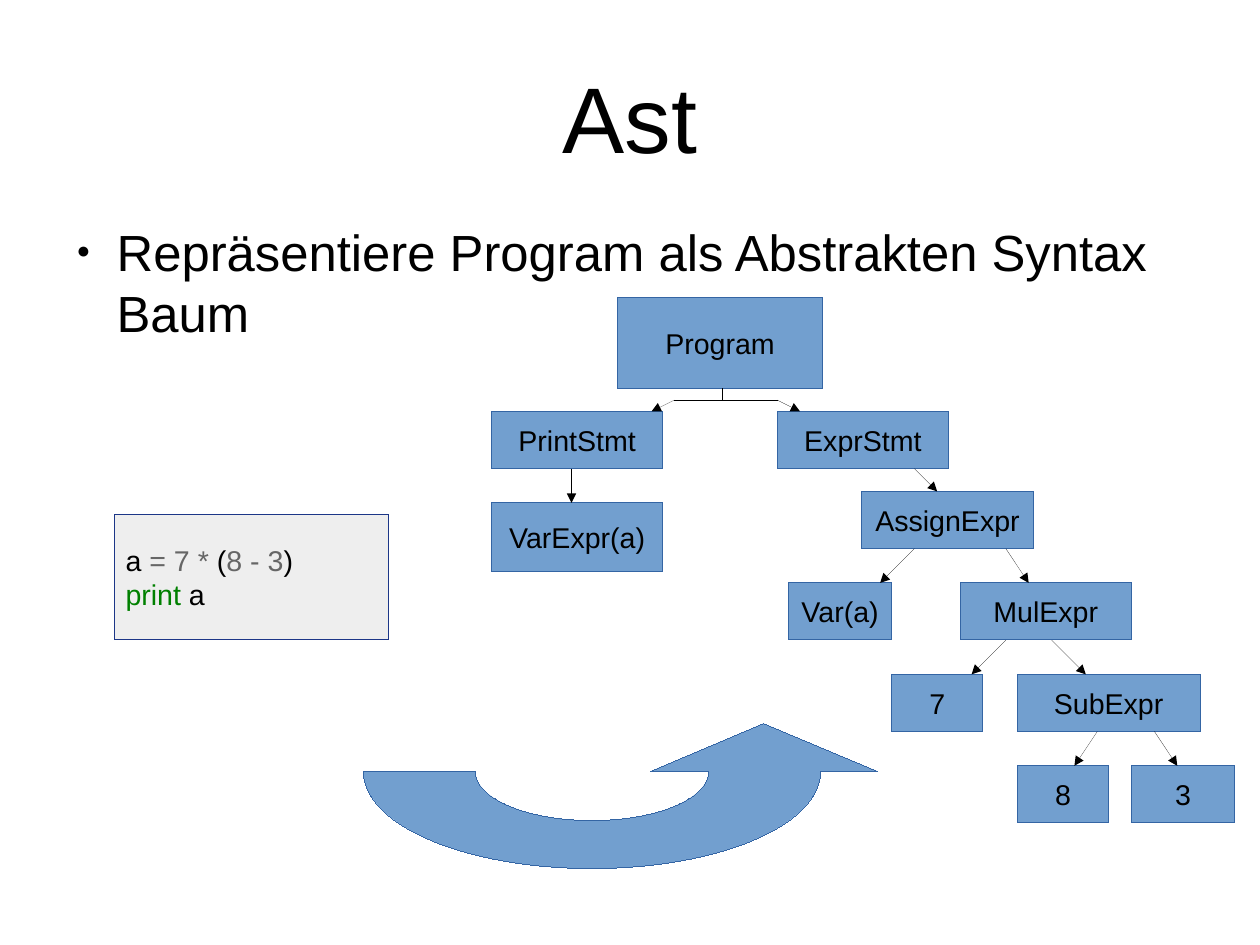
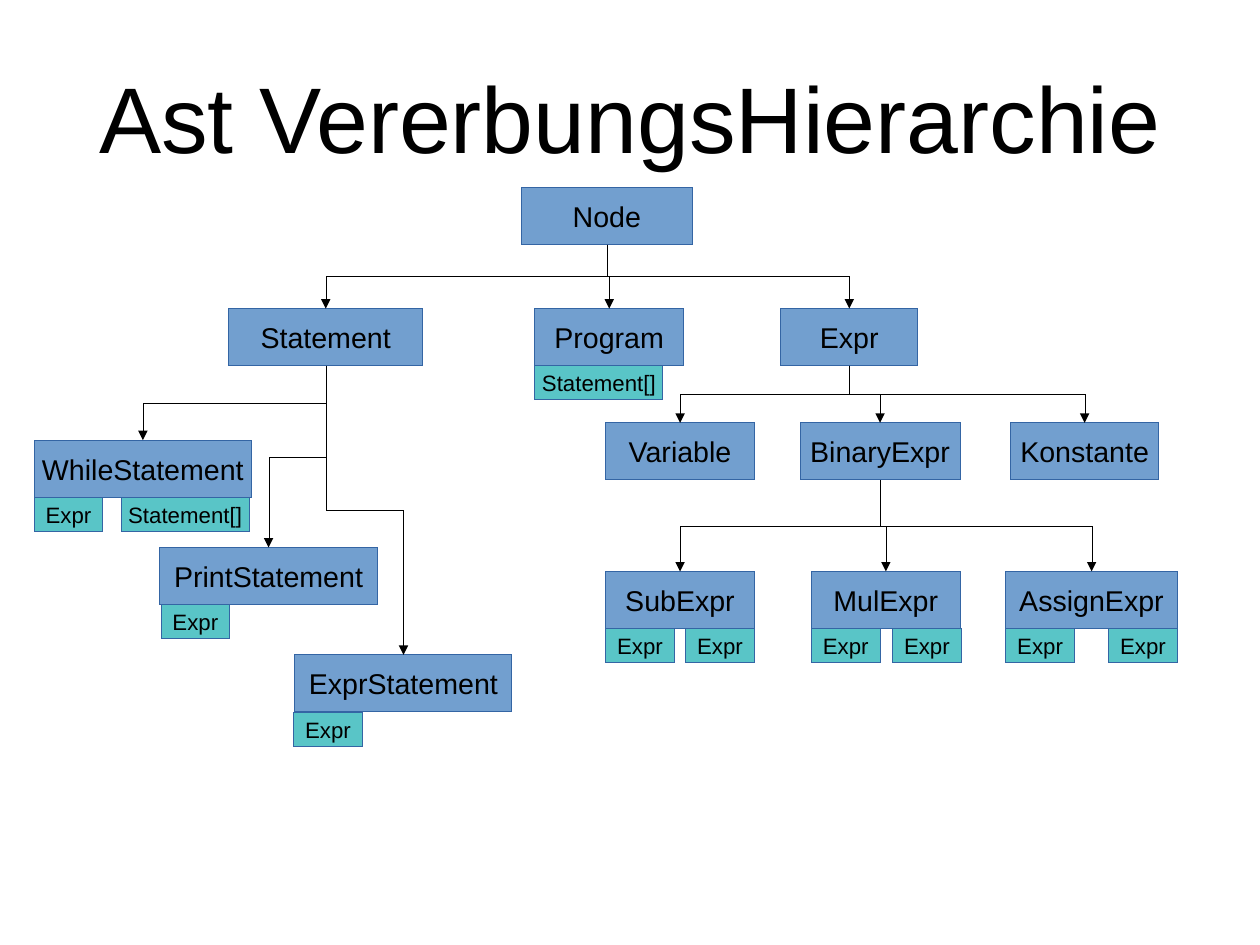
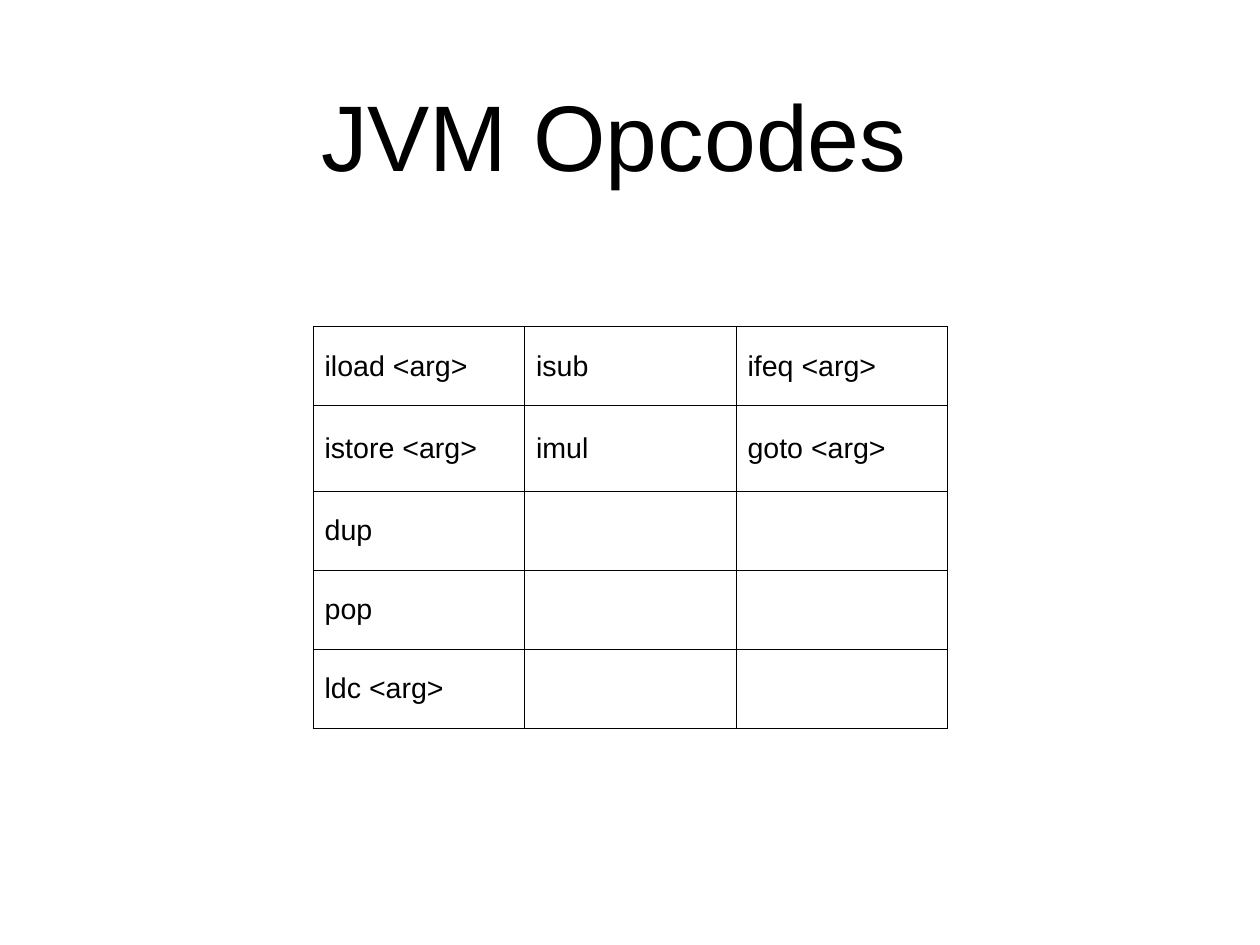
import math

import pptx
import pptx.dml.color
import pptx.enum.shapes
import pptx.enum.text
import pptx.oxml
import pptx.oxml.ns
import pptx.util

Inches = pptx.util.Inches
Pt = pptx.util.Pt
Align = pptx.enum.text.PP_ALIGN
Anchor = pptx.enum.text.MSO_ANCHOR
Connector = pptx.enum.shapes.MSO_CONNECTOR
RECTANGLE = pptx.enum.shapes.MSO_SHAPE.RECTANGLE
qn = pptx.oxml.ns.qn
DRAWING = pptx.oxml.ns.nsdecls("a")


class Theme:
    font = "Arial"
    black = "000000"
    grey = "666666"
    green = "008000"
    node = "729FCF"
    node_line = "3465A4"
    field = "59C5C7"
    code = "EEEEEE"
    code_line = "1C3687"
    title_size = 58.7
    body_size = 32
    text_size = 18
    field_size = 14
    hairline = "0"
    border = Pt(0.57)
    placeholder_frame = {
        "margin_left": 0, "margin_top": 0, "margin_right": 0, "margin_bottom": 0,
        "word_wrap": True, "auto_size": pptx.enum.text.MSO_AUTO_SIZE.NONE,
    }
    box_frame = {
        "margin_left": Inches(0.1), "margin_top": Inches(0.05),
        "margin_right": Inches(0.1), "margin_bottom": Inches(0.05),
        "word_wrap": False, "vertical_anchor": Anchor.MIDDLE,
    }


def write_text(paragraph, runs, size, alignment):
    paragraph.alignment = alignment
    for text, color in runs:
        run = paragraph.add_run()
        run.text = text
        for name, value in {"name": Theme.font, "size": Pt(size)}.items():
            setattr(run.font, name, value)
        run.font.color.rgb = pptx.dml.color.RGBColor.from_string(color)


def paint_shape(shape, fill, line, lines=(), size=Theme.text_size, alignment=Align.CENTER):
    shape.shadow.inherit = False
    shape.fill.solid()
    shape.fill.fore_color.rgb = pptx.dml.color.RGBColor.from_string(fill)
    shape.line.color.rgb = pptx.dml.color.RGBColor.from_string(line)
    shape.line._get_or_add_ln().set("w", Theme.hairline)
    for name, value in Theme.box_frame.items():
        setattr(shape.text_frame, name, value)
    for index, runs in enumerate(lines):
        paragraph = shape.text_frame.add_paragraph() if index else shape.text_frame.paragraphs[0]
        write_text(paragraph, runs, size, alignment)


presentation = pptx.Presentation()
presentation.slide_width = Inches(28 / 2.54)
presentation.slide_height = Inches(21 / 2.54)

title_place = (0.55, 0.33, 9.92, 1.38)
slides = []
for title, layout, place in [
    ("Ast", 1, title_place),
    ("Ast VererbungsHierarchie", 5, title_place),
    ("JVM Opcodes", 5, (0.12, 0.26, 10.5, 1.82)),
]:
    slide = presentation.slides.add_slide(presentation.slide_layouts[layout])
    shape = slide.shapes.title
    for name, value in zip(("left", "top", "width", "height"), place):
        setattr(shape, name, Inches(value))
    for name, value in Theme.placeholder_frame.items():
        setattr(shape.text_frame, name, value)
    shape.text_frame.vertical_anchor = Anchor.MIDDLE
    write_text(shape.text_frame.paragraphs[0], [(title, Theme.black)], Theme.title_size, Align.CENTER)
    slides.append(slide)
tree_slide, hierarchy_slide, opcode_slide = slides
connectors = []

body = tree_slide.placeholders[1]
for name, value in zip(("left", "top", "width", "height"), (0.55, 1.93, 9.92, 1.17)):
    setattr(body, name, Inches(value))
for name, value in Theme.placeholder_frame.items():
    setattr(body.text_frame, name, value)
paragraph = body.text_frame.paragraphs[0]
write_text(
    paragraph,
    [("Repräsentiere Program als Abstrakten Syntax Baum", Theme.black)],
    Theme.body_size,
    Align.LEFT,
)
paragraph.space_before = Pt(18.9)
properties = paragraph._p.get_or_add_pPr()
properties.set("marL", str(Inches(0.47)))
properties.set("indent", str(Inches(-0.35)))
for bullet in (
    f'<a:buClr {DRAWING}><a:srgbClr val="{Theme.black}"/></a:buClr>',
    f'<a:buSzPct {DRAWING} val="45000"/>',
    f'<a:buFont {DRAWING} typeface="{Theme.font}"/>',
    f'<a:buChar {DRAWING} char="●"/>',
):
    properties.append(pptx.oxml.parse_xml(bullet))

code_lines = [
    [("a ", Theme.black), ("= 7 *", Theme.grey), (" (", Theme.black),
     ("8 - 3", Theme.grey), (")", Theme.black)],
    [("print", Theme.green), (" a", Theme.black)],
]
code_box = tree_slide.shapes.add_shape(RECTANGLE, *map(Inches, (1, 4.5, 2.4, 1.1)))
paint_shape(code_box, Theme.code, Theme.code_line, code_lines, alignment=Align.LEFT)

for text, left, top, width, height in [
    ("Program", 5.4, 2.6, 1.8, 0.8),
    ("PrintStmt", 4.3, 3.6, 1.5, 0.5),
    ("ExprStmt", 6.8, 3.6, 1.5, 0.5),
    ("VarExpr(a)", 4.3, 4.4, 1.5, 0.6),
    ("AssignExpr", 7.54, 4.3, 1.5, 0.5),
    ("Var(a)", 6.9, 5.1, 0.9, 0.5),
    ("MulExpr", 8.4, 5.1, 1.5, 0.5),
    ("SubExpr", 8.9, 5.9, 1.6, 0.5),
    ("8", 8.9, 6.7, 0.8, 0.5),
    ("3", 9.9, 6.7, 0.9, 0.5),
    ("7", 7.8, 5.9, 0.8, 0.5),
]:
    box = tree_slide.shapes.add_shape(RECTANGLE, *map(Inches, (left, top, width, height)))
    paint_shape(box, Theme.node, Theme.node_line, [[(text, Theme.black)]])

for begin_x, begin_y, end_x, end_y, arrow in [
    (5.9, 3.5, 5.7, 3.6, True),
    (5, 4.1, 5, 4.4, True),
    (8, 4.1, 8.2, 4.3, True),
    (8, 4.8, 7.7, 5.1, True),
    (8.8, 4.8, 9, 5.1, True),
    (9.2, 5.6, 9.5, 5.9, True),
    (8.8, 5.6, 8.5, 5.9, True),
    (9.6, 6.4, 9.4, 6.7, True),
    (10.1, 6.4, 10.3, 6.7, True),
    (5.9, 3.5, 6.8, 3.5, False),
    (6.32, 3.4, 6.32, 3.5, False),
    (6.8, 3.5, 7, 3.6, True),
]:
    connector = tree_slide.shapes.add_connector(
        Connector.STRAIGHT, *map(Inches, (begin_x, begin_y, end_x, end_y))
    )
    connectors.append((connector, arrow))

center_x, center_y, steps = 5.18, 6.75, 48
angles = [math.pi * step / steps for step in range(steps + 1)]
inner_arc = [(center_x + 1.02 * math.cos(a), center_y + 0.43 * math.sin(a)) for a in angles]
outer_arc = [(center_x - 2 * math.cos(a), center_y + 0.85 * math.sin(a)) for a in angles]
arrow_head = [(7.68, 6.75), (6.68, 6.33), (5.69, 6.75)]
outline = [(Inches(x), Inches(y)) for x, y in inner_arc + outer_arc + arrow_head]
builder = tree_slide.shapes.build_freeform(*outline[0])
builder.add_line_segments(outline[1:], close=True)
paint_shape(builder.convert_to_shape(), Theme.node, Theme.node_line)

class_boxes = {}
for name, left, top, width in [
    ("Node", 4.56, 1.64, 1.5),
    ("Statement", 2, 2.7, 1.7),
    ("Expr", 6.83, 2.7, 1.2),
    ("BinaryExpr", 7, 3.7, 1.4),
    ("Variable", 5.3, 3.7, 1.3),
    ("Konstante", 8.84, 3.7, 1.3),
    ("SubExpr", 5.3, 5, 1.3),
    ("MulExpr", 7.1, 5, 1.3),
    ("AssignExpr", 8.8, 5, 1.5),
    ("WhileStatement", 0.3, 3.85, 1.9),
    ("PrintStatement", 1.4, 4.79, 1.9),
    ("ExprStatement", 2.58, 5.73, 1.9),
    ("Program", 4.68, 2.7, 1.3),
]:
    box = hierarchy_slide.shapes.add_shape(RECTANGLE, *map(Inches, (left, top, width, 0.5)))
    paint_shape(box, Theme.node, Theme.node_line, [[(name, Theme.black)]])
    class_boxes[name] = box

for parent_name, child_names in {
    "Node": ("Expr", "Program", "Statement"),
    "Statement": ("WhileStatement", "PrintStatement", "ExprStatement"),
    "Expr": ("Variable", "BinaryExpr", "Konstante"),
    "BinaryExpr": ("MulExpr", "AssignExpr", "SubExpr"),
}.items():
    parent = class_boxes[parent_name]
    for child_name in child_names:
        child = class_boxes[child_name]
        connector = hierarchy_slide.shapes.add_connector(Connector.ELBOW, 0, 0, 0, 0)
        connector.begin_connect(parent, 2)
        connector.end_connect(child, 0)
        begin_x, begin_y = parent.left + parent.width // 2, parent.top + parent.height
        end_x, end_y = child.left + child.width // 2, child.top
        drop, shift = end_y - begin_y, abs(end_x - begin_x)
        for name, value in {
            "left": (begin_x + end_x - drop) // 2,
            "top": (begin_y + end_y - shift) // 2,
            "width": drop,
            "height": shift,
        }.items():
            setattr(connector, name, value)
        goes_right = end_x > begin_x
        transform = connector._element.spPr.find(qn("a:xfrm"))
        for name, value in {
            "rot": "16200000" if goes_right else "5400000",
            "flipH": "1" if goes_right else "0",
            "flipV": "0",
        }.items():
            transform.set(name, value)
        connectors.append((connector, True))

for owner, text, offset, width in [
    ("SubExpr", "Expr", 0, 0.6),
    ("SubExpr", "Expr", 0.7, 0.6),
    ("MulExpr", "Expr", 0, 0.6),
    ("MulExpr", "Expr", 0.71, 0.6),
    ("AssignExpr", "Expr", 0, 0.6),
    ("AssignExpr", "Expr", 0.9, 0.6),
    ("ExprStatement", "Expr", -0.01, 0.6),
    ("PrintStatement", "Expr", 0.01, 0.6),
    ("WhileStatement", "Expr", 0, 0.6),
    ("WhileStatement", "Statement[]", 0.76, 1.12),
    ("Program", "Statement[]", 0, 1.12),
]:
    box = class_boxes[owner]
    field = hierarchy_slide.shapes.add_shape(
        RECTANGLE, box.left + Inches(offset), box.top + box.height, Inches(width), Inches(0.3)
    )
    paint_shape(field, Theme.field, Theme.node_line, [[(text, Theme.black)]], Theme.field_size)

for connector, arrow in connectors:
    connector.line.color.rgb = pptx.dml.color.RGBColor.from_string(Theme.black)
    line = connector.line._get_or_add_ln()
    line.set("w", Theme.hairline)
    if arrow:
        line.append(pptx.oxml.parse_xml(f'<a:tailEnd {DRAWING} type="triangle"/>'))
    connector._element.spPr.append(pptx.oxml.parse_xml(f"<a:effectLst {DRAWING}/>"))

opcodes = [
    ("iload <arg>", "isub", "ifeq <arg>"),
    ("istore <arg>", "imul", "goto <arg>"),
    ("dup", "", ""),
    ("pop", "", ""),
    ("ldc <arg>", "", ""),
]
table = opcode_slide.shapes.add_table(5, 3, *map(Inches, (2.74, 2.86, 5.55, 3.5))).table
table.first_row = False
table.horz_banding = False
for column in table.columns:
    column.width = Inches(1.85)
for row, height, texts in zip(table.rows, (0.69, 0.75, 0.69, 0.69, 0.69), opcodes):
    row.height = Inches(height)
    for cell, text in zip(row.cells, texts):
        cell.vertical_anchor = Anchor.MIDDLE
        for side in ("lnL", "lnR", "lnT", "lnB"):
            cell._tc.get_or_add_tcPr().append(pptx.oxml.parse_xml(
                f'<a:{side} {DRAWING} w="{Theme.border}"><a:solidFill>'
                f'<a:srgbClr val="{Theme.black}"/></a:solidFill></a:{side}>'
            ))
        cell.fill.background()
        if text:
            write_text(
                cell.text_frame.paragraphs[0], [(text, Theme.black)], Theme.text_size, Align.LEFT
            )

presentation.save("out.pptx")
